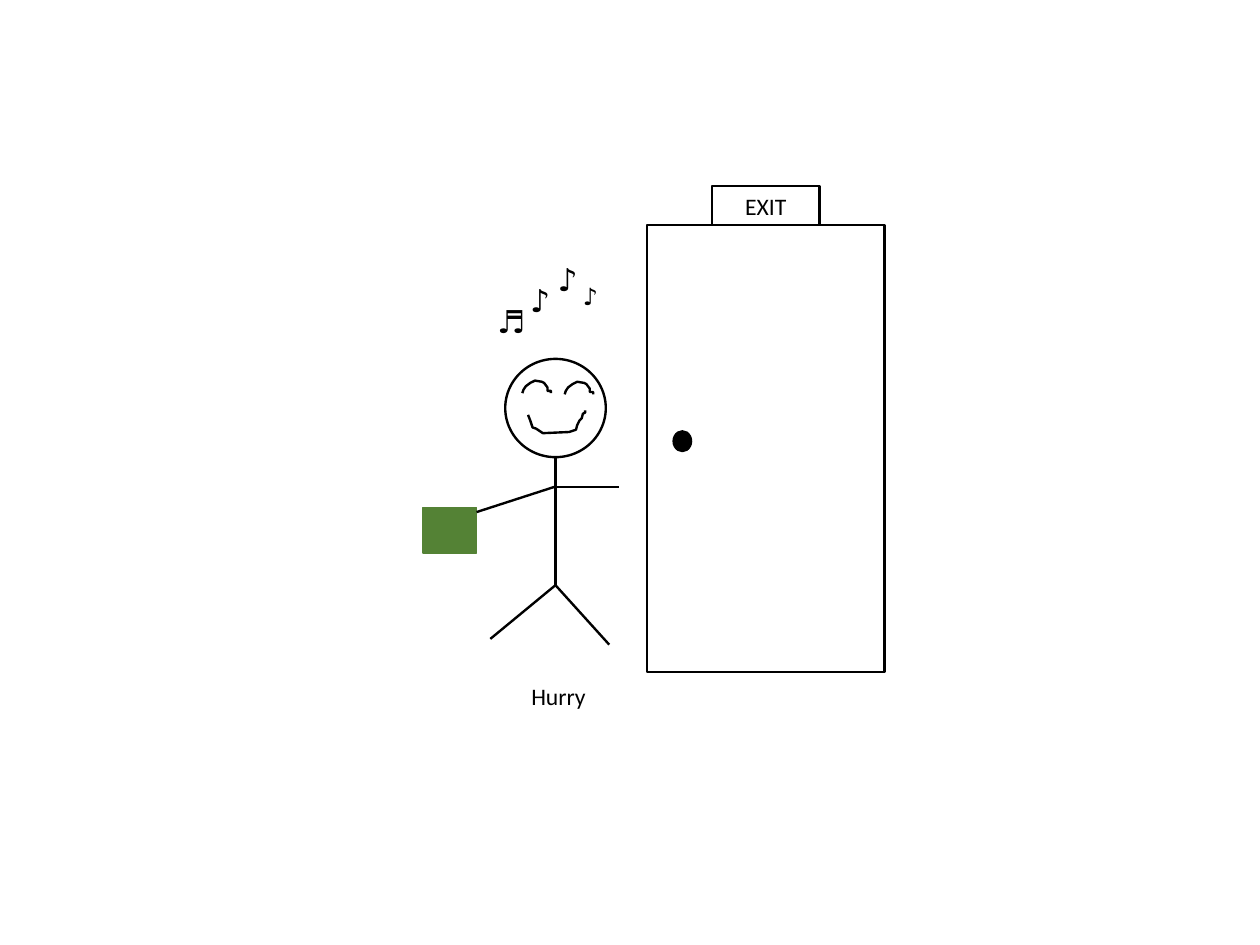
"""Draw a cheerful stick figure hurrying to an exit door."""
from typing import NamedTuple

from lxml import etree
from pptx import Presentation
from pptx import util as u
from pptx.dml.color import RGBColor
from pptx.enum import shapes, text
from pptx.oxml import ns

PX = 9144
BLACK = RGBColor(0x00, 0x00, 0x00)
WHITE = RGBColor(0xFF, 0xFF, 0xFF)
GREEN = RGBColor(0x54, 0x82, 0x35)
RECT = shapes.MSO_SHAPE.RECTANGLE
OVAL = shapes.MSO_SHAPE.OVAL


class Box(NamedTuple):
    x: int
    y: int
    w: int
    h: int


class Form(NamedTuple):
    kind: shapes.MSO_SHAPE
    box: Box
    fill: RGBColor = WHITE
    edge: RGBColor = BLACK
    width: float = 1.5


class Limb(NamedTuple):
    x1: int
    y1: int
    x2: int
    y2: int


class Label(NamedTuple):
    words: str
    box: Box
    size: float = 19.8
    wrap: bool = False


HEAD = Form(OVAL, Box(442, 314, 88, 86))
DOOR = Form(RECT, Box(566, 197, 208, 391))
KNOB = Form(OVAL, Box(589, 377, 16, 18), BLACK, BLACK, 1)
BAG = Form(RECT, Box(370, 444, 47, 40), GREEN, GREEN, 1)
SIGN = Form(RECT, Box(623, 163, 94, 34))
LIMBS = [
    Limb(486, 400, 486, 512),
    Limb(486, 426, 542, 426),
    Limb(486, 512, 429, 559),
    Limb(486, 512, 533, 564),
]
ARM = Limb(417, 448, 485, 426)
EYE = [(457, 344), (458, 341), (460, 338), (464, 335), (468, 333), (474, 334),
       (476, 335), (479, 339), (479, 342), (482, 342), (482, 344)]
MOUTH = [(462, 363), (464, 368), (466, 374), (469, 375), (475, 379), (498, 378),
         (501, 377), (504, 376), (505, 372), (506, 370), (507, 368), (509, 366),
         (510, 362), (512, 361), (512, 359)]
CURVES = [EYE, [(x + 37, y + 1) for x, y in EYE], MOUTH]
CRY = Label("Hurry", Box(455, 592, 77, 35), 14.9, True)
NOTES = [
    Label("♬", Box(425, 259, 29, 43), wrap=True),
    Label("♪", Box(454, 241, 39, 43)),
    Label("♪", Box(478, 223, 39, 43)),
    Label("♪", Box(500, 242, 35, 35), 14.9),
]


def emu(*sides: int) -> list[int]:
    """Turn px into EMU."""
    return [side * PX for side in sides]


def write(frame, words: str, *, size: float = 14.9, wrap: bool = True,
          align=text.PP_ALIGN.LEFT, anchor=text.MSO_ANCHOR.TOP) -> None:
    """Put formatted words in a text frame."""
    frame.word_wrap = wrap
    frame.vertical_anchor = anchor
    para = frame.paragraphs[0]
    para.alignment = align
    run = para.add_run()
    run.text = words
    run.font.name = "Calibri"
    run.font.size = u.Pt(size)
    run.font.color.rgb = BLACK


def ink(item, color: RGBColor = BLACK, width: float = 1.5) -> None:
    """Set the outline of an item."""
    item.line.color.rgb = color
    item.line.width = u.Pt(width)


def add_form(slide, form: Form):
    """Draw a filled preset shape."""
    item = slide.shapes.add_shape(form.kind, *emu(*form.box))
    item.shadow.inherit = False
    item.fill.solid()
    item.fill.fore_color.rgb = form.fill
    ink(item, form.edge, form.width)
    return item


def add_limb(slide, limb: Limb) -> None:
    """Draw a straight line."""
    kind = shapes.MSO_CONNECTOR.STRAIGHT
    item = slide.shapes.add_connector(kind, *emu(*limb))
    ink(item)
    etree.SubElement(item._element.spPr, ns.qn("a:effectLst"))


def add_curve(slide, points: list[tuple[int, int]]) -> None:
    """Draw an open outline through the points."""
    pen = slide.shapes.build_freeform(*points[0], scale=PX)
    pen.add_line_segments(points[1:], close=False)
    item = pen.convert_to_shape()
    item.shadow.inherit = False
    item.fill.background()
    ink(item)


def add_label(slide, label: Label) -> None:
    """Draw a text box that fits its words."""
    frame = slide.shapes.add_textbox(*emu(*label.box)).text_frame
    write(frame, label.words, size=label.size, wrap=label.wrap)
    frame.auto_size = text.MSO_AUTO_SIZE.SHAPE_TO_FIT_TEXT


def main() -> None:
    """Build and save the slide."""
    deck = Presentation()
    deck.slide_width, deck.slide_height = u.Mm(280), u.Mm(210)
    slide = deck.slides.add_slide(deck.slide_layouts[6])
    add_form(slide, HEAD)
    for limb in LIMBS:
        add_limb(slide, limb)
    for curve in CURVES:
        add_curve(slide, curve)
    add_label(slide, CRY)
    for form in (DOOR, KNOB, BAG):
        add_form(slide, form)
    add_limb(slide, ARM)
    sign = add_form(slide, SIGN)
    write(sign.text_frame, "EXIT", align=text.PP_ALIGN.CENTER,
          anchor=text.MSO_ANCHOR.MIDDLE)
    for note in NOTES:
        add_label(slide, note)
    deck.save("out.pptx")


if __name__ == "__main__":
    main()
